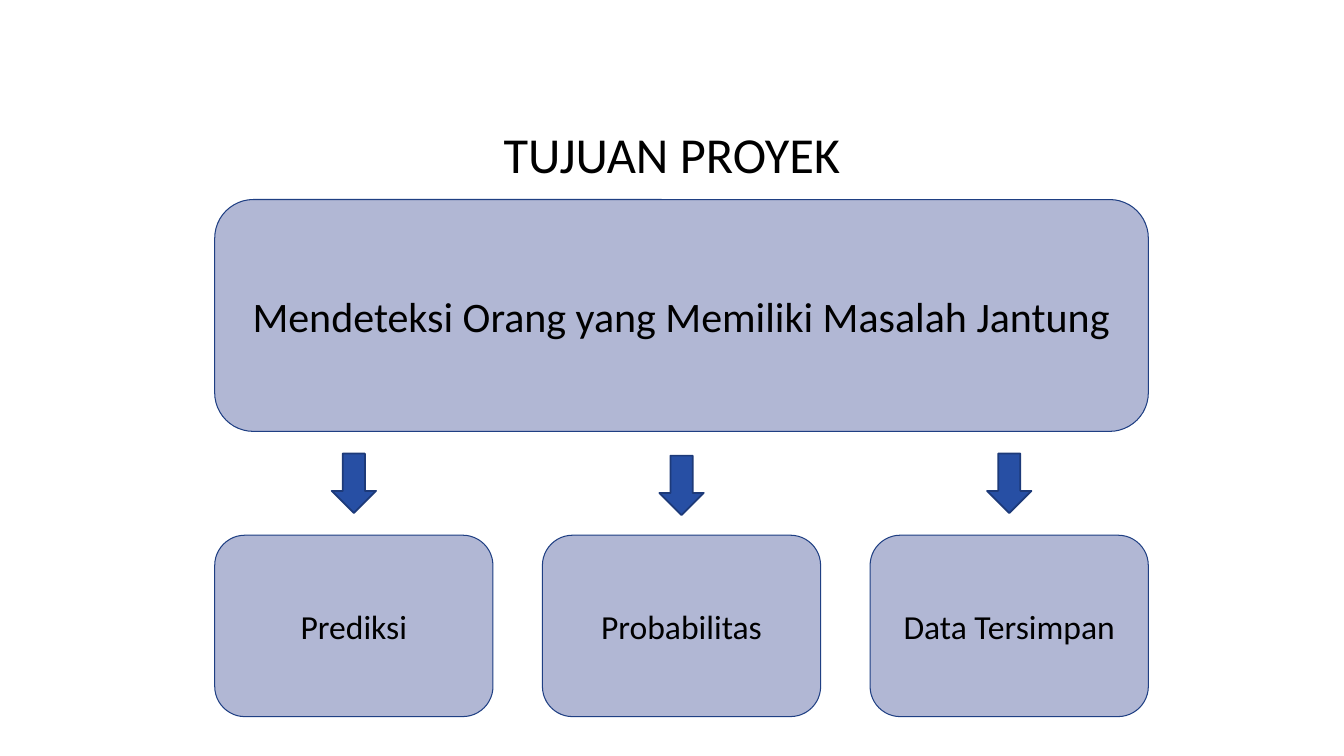
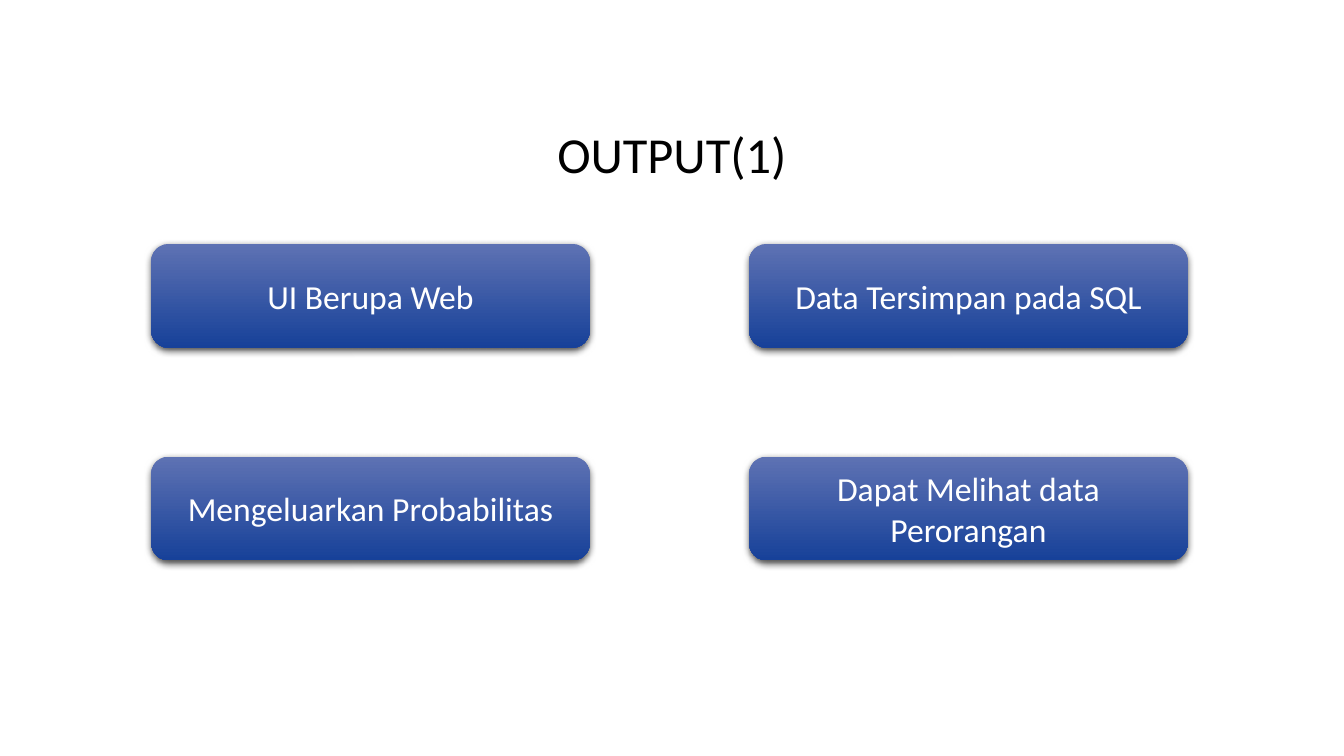
"""Build two slides: the project goals and the project output."""
from lxml import etree
from pptx import Presentation
from pptx import util as u
from pptx.dml.color import RGBColor
from pptx.enum import shapes, text
from pptx.oxml.ns import qn

WIDTH, HEIGHT = 13.33, 7.5
FONT = "Calibri"
BLACK = RGBColor(0x00, 0x00, 0x00)
WHITE = RGBColor(0xFF, 0xFF, 0xFF)
PALE = RGBColor(0xB1, 0xB7, 0xD4)
BORDER = RGBColor(0x1F, 0x3F, 0x83)
ARROW = RGBColor(0x27, 0x4F, 0xA4)
ARROW_BORDER = RGBColor(0x1D, 0x3A, 0x79)
GRADIENT = (RGBColor(0x5E, 0x72, 0xB3), RGBColor(0x17, 0x41, 0x99))

TITLE_BOX = (1, 0.68, 11.33, 1.75)
GOAL_BOX = (2.13, 1.98, 9.26, 2.3)
STEP_TOP, STEP_WIDTH, STEP_HEIGHT = 5.31, 2.76, 1.8
ARROW_WIDTH, ARROW_HEIGHT = 0.44, 0.59
STEPS = (("Prediksi", 4.5), ("Probabilitas", 4.52), ("Data Tersimpan", 4.5))
CARD_LEFT, CARD_TOP, CARD_WIDTH, CARD_HEIGHT = 1.5, 2.42, 4.35, 1.03
COLUMN_STEP, ROW_STEP = 5.93, 2.11
CARDS = (
    ("UI Berupa Web", "Mengeluarkan Probabilitas"),
    ("Data Tersimpan pada SQL", "Dapat Melihat data Perorangan"),
)


def inches(box):
    return [u.Inches(length) for length in box]


def write(shape, words, size, color, spacing=1.0):
    frame = shape.text_frame
    frame.word_wrap = True
    frame.vertical_anchor = text.MSO_ANCHOR.MIDDLE
    paragraph = frame.paragraphs[0]
    paragraph.alignment = text.PP_ALIGN.CENTER
    paragraph.line_spacing = spacing
    run = paragraph.add_run()
    run.text = words
    run.font.name = FONT
    run.font.size = u.Pt(size)
    run.font.color.rgb = color


def add_titled_slide(presentation, title):
    slide = presentation.slides.add_slide(presentation.slide_layouts[6])
    write(slide.shapes.add_textbox(*inches(TITLE_BOX)), title, 36, BLACK, 0.9)
    return slide


def add_plain_shape(slide, kind, box):
    shape = slide.shapes.add_shape(kind, *inches(box))
    shape.shadow.inherit = False
    return shape


def add_outlined(slide, kind, box, fill, border, weight):
    shape = add_plain_shape(slide, kind, box)
    shape.fill.solid()
    shape.fill.fore_color.rgb = fill
    shape.line.color.rgb = border
    shape.line.width = u.Pt(weight)
    return shape


def add_panel(slide, box, words, size):
    kind = shapes.MSO_SHAPE.ROUNDED_RECTANGLE
    panel = add_outlined(slide, kind, box, PALE, BORDER, 0.75)
    write(panel, words, size, BLACK)


def add_soft_shadow(shape):
    effects = shape.element.spPr.find(qn("a:effectLst"))
    shadow = etree.SubElement(
        effects, qn("a:outerShdw"), blurRad=str(u.Pt(5)), dist=str(u.Pt(2)),
        dir="5400000", algn="ctr", rotWithShape="0")
    color = etree.SubElement(shadow, qn("a:srgbClr"), val=str(BLACK))
    etree.SubElement(color, qn("a:alpha"), val="69000")


def add_card(slide, box, words):
    card = add_plain_shape(slide, shapes.MSO_SHAPE.ROUNDED_RECTANGLE, box)
    card.fill.gradient()
    card.fill.gradient_angle = 270
    for stop, color, position in zip(card.fill.gradient_stops, GRADIENT, (0, 1)):
        stop.color.rgb = color
        stop.position = position
    card.line.fill.background()
    add_soft_shadow(card)
    write(card, words, 24, WHITE)


def build_goals(presentation):
    slide = add_titled_slide(presentation, "TUJUAN PROYEK")
    add_panel(slide, GOAL_BOX, "Mendeteksi Orang yang Memiliki Masalah Jantung", 30)
    goal_left, _, goal_width, _ = GOAL_BOX
    pitch = (goal_width - STEP_WIDTH) / (len(STEPS) - 1)
    for column, (words, arrow_top) in enumerate(STEPS):
        left = goal_left + column * pitch
        add_panel(slide, (left, STEP_TOP, STEP_WIDTH, STEP_HEIGHT), words, 24)
        arrow_left = left + (STEP_WIDTH - ARROW_WIDTH) / 2
        add_outlined(slide, shapes.MSO_SHAPE.DOWN_ARROW,
                     (arrow_left, arrow_top, ARROW_WIDTH, ARROW_HEIGHT),
                     ARROW, ARROW_BORDER, 1.25)


def build_output(presentation):
    slide = add_titled_slide(presentation, "OUTPUT(1)")
    for column, cards in enumerate(CARDS):
        for row, words in enumerate(cards):
            left = CARD_LEFT + column * COLUMN_STEP
            top = CARD_TOP + row * ROW_STEP
            add_card(slide, (left, top, CARD_WIDTH, CARD_HEIGHT), words)


def main():
    presentation = Presentation()
    presentation.slide_width = u.Inches(WIDTH)
    presentation.slide_height = u.Inches(HEIGHT)
    build_goals(presentation)
    build_output(presentation)
    presentation.save("out.pptx")


if __name__ == "__main__":
    main()
